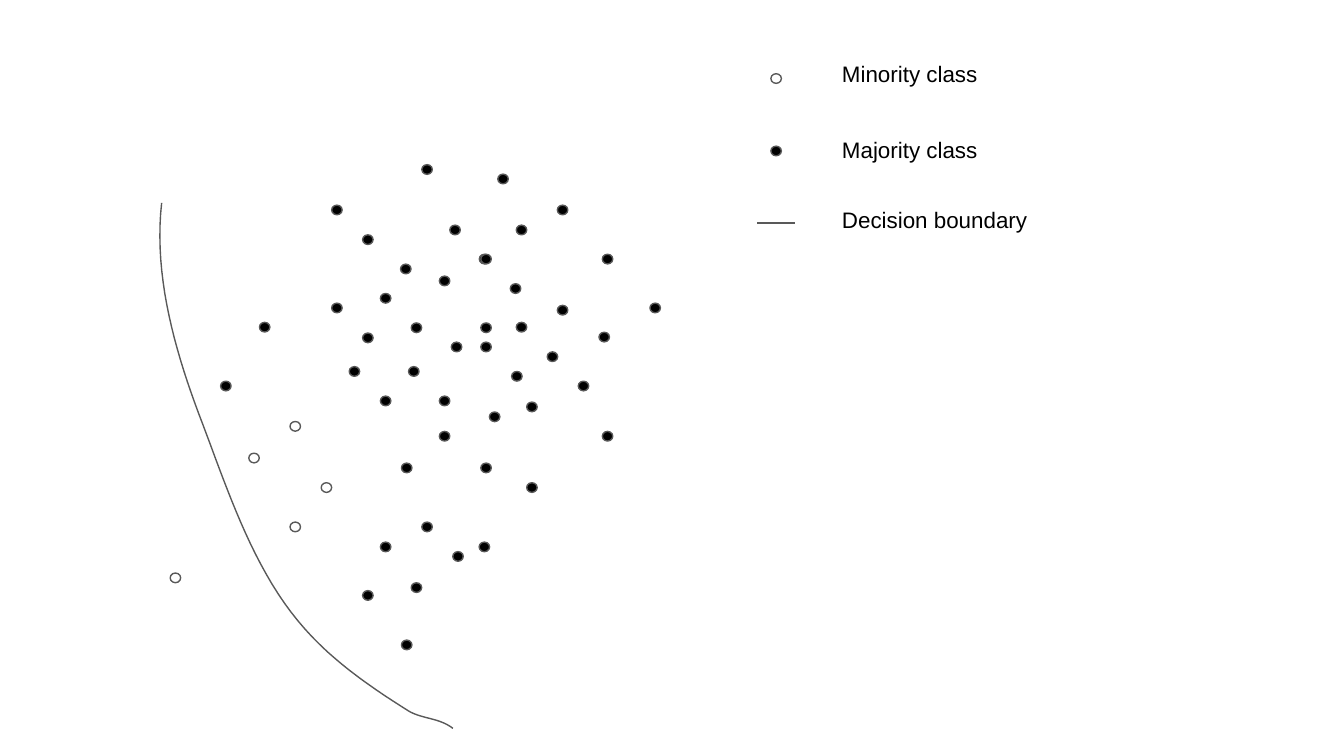
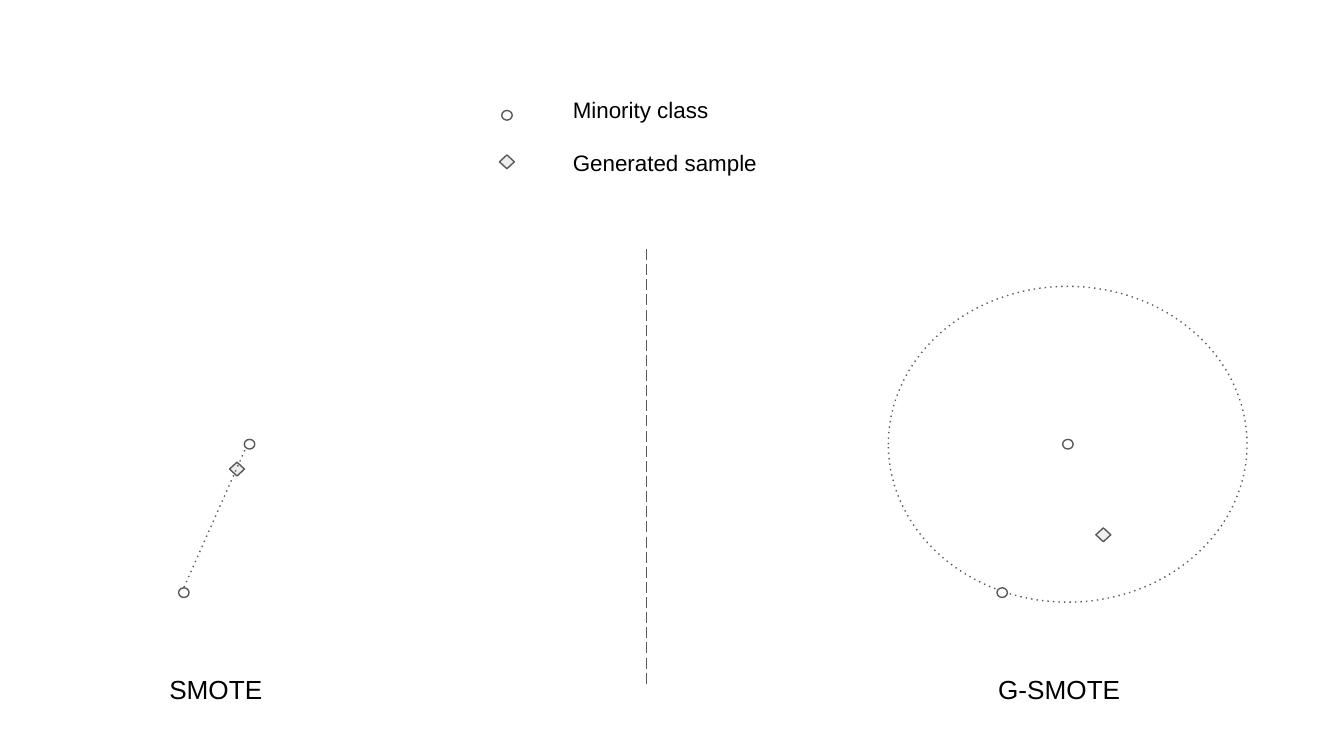
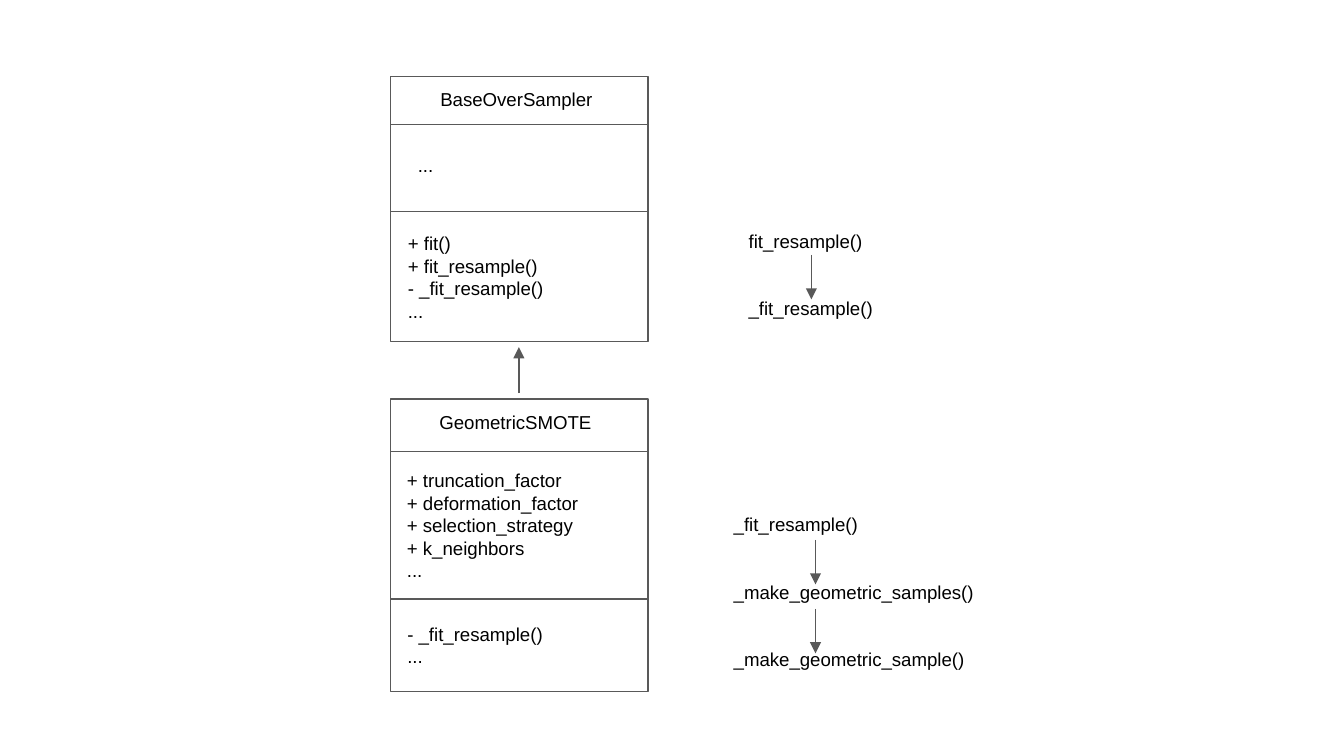
from lxml.etree import SubElement
from pptx import Presentation
from pptx.dml.color import RGBColor
from pptx.enum.shapes import MSO_CONNECTOR, MSO_SHAPE
from pptx.oxml.ns import qn
from pptx.util import Pt

FONT = "Arial"
BLACK, WHITE, GREY, PALE = "000000", "FFFFFF", "595959", "EEEEEE"
MARKERS = {
    "minority": (MSO_SHAPE.OVAL, 5.6, 5.2, WHITE),
    "majority": (MSO_SHAPE.OVAL, 5.6, 5.2, BLACK),
    "generated": (MSO_SHAPE.DIAMOND, 8, 7.4, PALE),
}

MAJORITY = [
    (228.8, 90.8), (269.5, 95.9), (301.4, 112.5), (180.5, 112.5),
    (197.1, 128.4), (243.8, 123.2), (279.4, 123.2), (259.6, 138.8),
    (260.4, 138.8), (325.5, 138.8), (217.4, 144.1), (238.2, 150.5),
    (276.2, 154.6), (206.6, 159.8), (180.5, 165), (351, 165),
    (301.4, 166.2), (141.8, 175.3), (223.1, 175.6), (260.4, 175.6),
    (279.4, 175.3), (197.1, 181), (323.7, 180.6), (244.6, 185.9),
    (260.4, 185.9), (296, 191.1), (121, 206.8), (189.9, 199),
    (221.7, 199), (276.9, 201.6), (312.6, 206.8), (206.6, 214.8),
    (238.2, 214.8), (285, 218), (265, 223.3), (238.2, 233.7),
    (325.5, 233.7), (217.9, 250.7), (260.4, 250.7), (285, 261.2),
    (228.8, 282.3), (206.6, 293), (259.5, 293), (245.4, 298.1),
    (223.1, 314.8), (197.1, 319), (217.9, 345.5),
]
MINORITY = [(158.2, 228.4), (136.1, 245.4), (174.9, 261.2), (158.2, 282.3), (94, 309.6)]
BOUNDARY_START = (86.6, 108.7)
BOUNDARY_CURVES = [
    ((82.1, 149), (94.3, 190.1), (108.7, 227.5)),
    ((123.1, 265.7), (136.8, 307.4), (163.4, 337)),
    ((179.3, 355), (199.4, 368.6), (218.9, 380.9)),
    ((226.1, 385.2), (235.4, 384.5), (242.6, 390.2)),
]
CURVE_STEPS = 20

BOUNDARY_LEGEND = [
    ("minority", 42.1, "Minority class", 25.2, 108),
    ("majority", 80.9, "Majority class", 65.5, 108),
    ("line", 119.5, "Decision boundary", 103, 138),
]
SAMPLING_LEGEND = [
    ("minority", 61.8, "Minority class", 44.6, 108),
    ("generated", 86.7, "Generated sample", 72.7, 125),
]
LEGEND_LABEL_OFFSET = 28.2

NEIGHBOURS = [(133.7, 238), (98.5, 317.5)]
PANEL_SHIFT = 438.4
CIRCLE = (475.9, 153.4, 192.2, 169.2)
PANEL_TITLES = [("SMOTE", 83.6, 65), ("G-SMOTE", 527.6, 89.5)]

CLASS_LEFT, CLASS_WIDTH = 209.2, 138
CLASSES = [
    ((41.1, 66.7, 113.3, 183), [
        (["BaseOverSampler"], 228.8, 41),
        (["..."], 216.7, 76.5),
        (["+ fit()", "+ fit_resample()", "- _fit_resample()", "..."], 211.4, 117.2),
    ]),
    ((213.8, 241.9, 320.9, 370.5), [
        (["GeometricSMOTE"], 228.3, 214),
        (["+ truncation_factor", "+ deformation_factor", "+ selection_strategy",
          "+ k_neighbors", "..."], 210.9, 244.1),
        (["- _fit_resample()", "..."], 211.1, 326.3),
    ]),
]
CALLS = [
    (["fit_resample()", "_fit_resample()"], 394, 116, 434.7, [136.6]),
    (["_fit_resample()", "_make_geometric_samples()", "_make_geometric_sample()"],
     386, 267.8, 436.9, [289.3, 326.2]),
]
CALL_GAP, ARROW_LENGTH = 24, 23.8


def color(value):
    return RGBColor.from_string(value)


def outline(shape, dash=None, arrow=False):
    shape.line.color.rgb = color(GREY)
    shape.line.width = Pt(0.75)
    line = shape.element.spPr.find(qn("a:ln"))
    if dash:
        SubElement(line, qn("a:prstDash")).set("val", dash)
    if arrow:
        SubElement(line, qn("a:tailEnd")).set("type", "triangle")


def add_outlined(slide, kind, left, top, width, height, fill=None, dash=None):
    shape = slide.shapes.add_shape(kind, Pt(left), Pt(top), Pt(width), Pt(height))
    shape.shadow.inherit = False
    if fill:
        shape.fill.solid()
        shape.fill.fore_color.rgb = color(fill)
    else:
        shape.fill.background()
    outline(shape, dash)


def add_marker(slide, name, x, y):
    kind, width, height, fill = MARKERS[name]
    add_outlined(slide, kind, x - width / 2, y - height / 2, width, height, fill)


def add_line(slide, start, end, **style):
    points = [Pt(value) for value in (*start, *end)]
    connector = slide.shapes.add_connector(MSO_CONNECTOR.STRAIGHT, *points)
    outline(connector, **style)
    SubElement(connector.element.spPr, qn("a:effectLst"))


def add_text(slide, lines, left, top, width=134, size=10, gap=0):
    height = 14.4 + len(lines) * size * 1.2 + (len(lines) - 1) * gap
    box = slide.shapes.add_textbox(Pt(left), Pt(top), Pt(width), Pt(height))
    frame = box.text_frame
    frame.word_wrap = True
    frame.margin_left = frame.margin_right = frame.margin_top = frame.margin_bottom = Pt(7.2)
    for index, line in enumerate(lines):
        paragraph = frame.add_paragraph() if index else frame.paragraphs[0]
        paragraph.space_before = Pt(gap if index else 0)
        run = paragraph.add_run()
        run.text = line
        run.font.name = FONT
        run.font.size = Pt(size)
        run.font.color.rgb = color(BLACK)


def add_legend(slide, entries, x):
    for name, y, label, top, width in entries:
        if name == "line":
            add_line(slide, (x - 10, y), (x + 10, y))
        else:
            add_marker(slide, name, x, y)
        add_text(slide, [label], x + LEGEND_LABEL_OFFSET, top, width, size=12)


def curve_points(start, curves):
    for first, second, end in curves:
        for step in range(1, CURVE_STEPS + 1):
            t = step / CURVE_STEPS
            u = 1 - t
            yield tuple(
                Pt(u**3 * a + 3 * u * u * t * b + 3 * u * t * t * c + t**3 * d)
                for a, b, c, d in zip(start, first, second, end)
            )
        start = end


def build_boundary(slide):
    for name, centres in (("majority", MAJORITY), ("minority", MINORITY)):
        for x, y in centres:
            add_marker(slide, name, x, y)
    builder = slide.shapes.build_freeform(*(Pt(value) for value in BOUNDARY_START))
    builder.add_line_segments(curve_points(BOUNDARY_START, BOUNDARY_CURVES), close=False)
    boundary = builder.convert_to_shape()
    boundary.shadow.inherit = False
    boundary.fill.background()
    outline(boundary)
    add_legend(slide, BOUNDARY_LEGEND, 415.8)


def build_sampling(slide):
    add_legend(slide, SAMPLING_LEGEND, 271.6)
    for title, left, width in PANEL_TITLES:
        add_text(slide, [title], left, 353.5, width, size=14)
    add_line(slide, (346.2, 133.4), (346.2, 368.4), dash="lgDash")
    add_outlined(slide, MSO_SHAPE.OVAL, *CIRCLE, dash="dot")
    for shift in (0, PANEL_SHIFT):
        for x, y in NEIGHBOURS:
            add_marker(slide, "minority", x + shift, y)
    add_marker(slide, "generated", 127, 251.3)
    add_marker(slide, "generated", 591.1, 286.5)
    add_line(slide, (98.6, 314.6), (131.8, 239.8), dash="dot")


def build_classes(slide):
    right = CLASS_LEFT + CLASS_WIDTH
    for (top, *dividers, bottom), compartments in CLASSES:
        add_outlined(slide, MSO_SHAPE.RECTANGLE, CLASS_LEFT, top, CLASS_WIDTH, bottom - top)
        for y in dividers:
            add_line(slide, (CLASS_LEFT, y), (right, y))
        for lines, left, text_top in compartments:
            add_text(slide, lines, left, text_top)
    add_line(slide, (278, 210.6), (278, 186), arrow=True)
    for lines, left, top, x, arrow_tops in CALLS:
        add_text(slide, lines, left, top, 150, gap=CALL_GAP)
        for y in arrow_tops:
            add_line(slide, (x, y), (x, y + ARROW_LENGTH), arrow=True)


def main():
    presentation = Presentation()
    presentation.slide_width, presentation.slide_height = Pt(720), Pt(405)
    for build in (build_boundary, build_sampling, build_classes):
        build(presentation.slides.add_slide(presentation.slide_layouts[6]))
    presentation.save("out.pptx")


if __name__ == "__main__":
    main()
